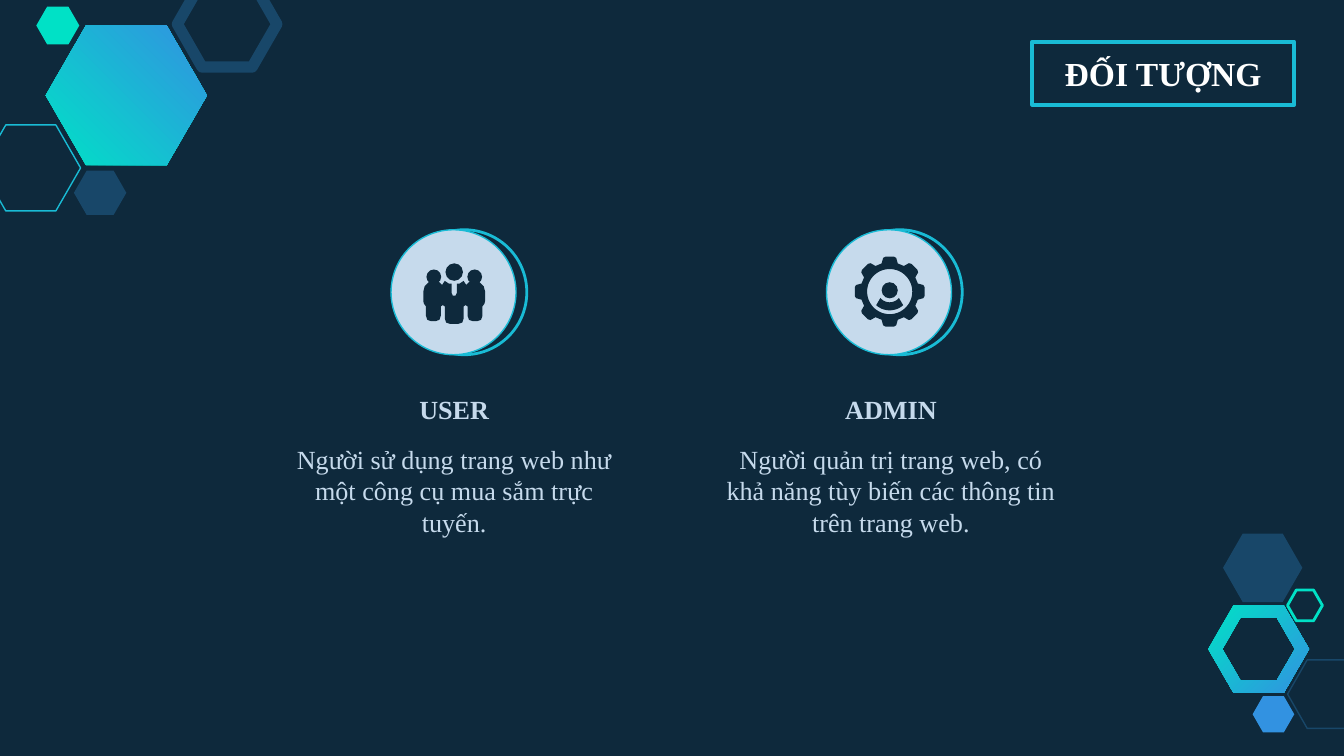
"""Build the slide that introduces the two audiences of the site, user and admin."""
from math import cos, radians, sin

from lxml.etree import SubElement
from pptx import Presentation
from pptx.dml.color import RGBColor
from pptx.enum.shapes import MSO_SHAPE
from pptx.enum.text import MSO_ANCHOR, MSO_AUTO_SIZE, PP_ALIGN
from pptx.oxml.ns import qn
from pptx.util import Inches, Pt

NAVY, STEEL, PALE = "0E293C", "184769", "C6DAEC"
CYAN, TEAL, BLUE = "19BBD5", "00E1C6", "3292E1"
CELL = Inches(0.1)
COLUMNS, ROWS = 100, 56.25


def paint(shape, fill=None, line=None, width=0.75, angle=None):
    """Set fill (two colours make a gradient) and outline from hex strings."""
    if angle is not None:
        shape.fill.gradient()
        shape.fill.gradient_angle = angle
        for stop, colour in zip(shape.fill.gradient_stops, fill):
            stop.color.rgb = RGBColor.from_string(colour)
    elif fill:
        shape.fill.solid()
        shape.fill.fore_color.rgb = RGBColor.from_string(fill)
    else:
        shape.fill.background()
    if line:
        shape.line.color.rgb = RGBColor.from_string(line)
        shape.line.width = Pt(width)
    else:
        shape.line.fill.background()
    shape.shadow.inherit = False


def write(box, text, size=14, colour=PALE, bold=False, anchor=MSO_ANCHOR.MIDDLE, inset=1):
    """Fill a box with one centred, formatted paragraph."""
    frame = box.text_frame
    frame.word_wrap = True
    frame.auto_size = MSO_AUTO_SIZE.NONE
    frame.vertical_anchor = anchor
    frame.margin_left = frame.margin_right = CELL
    frame.margin_top = frame.margin_bottom = int(inset * CELL)
    para = frame.paragraphs[0]
    para.alignment = PP_ALIGN.CENTER
    span = para.add_run()
    span.text = text
    span.font.name, span.font.size, span.font.bold = "Times New Roman", Pt(size), bold
    span.font.color.rgb = RGBColor.from_string(colour)


deck = Presentation()
deck.slide_width, deck.slide_height = COLUMNS * CELL, int(ROWS * CELL)
page = deck.slides.add_slide(deck.slide_layouts[5])
page.background.fill.solid()
page.background.fill.fore_color.rgb = RGBColor.from_string(NAVY)

title = page.shapes.title
title.left, title.top, title.width, title.height = [int(v * CELL) for v in (76.8, 3.1, 19.5, 4.7)]
geometry = SubElement(title.element.spPr, qn("a:prstGeom"), prst="flowChartTerminator")
SubElement(geometry, qn("a:avLst"))
paint(title, NAVY, CYAN, 2)
write(title, "ĐỐI TƯỢNG", size=18, colour="FFFFFF", bold=True, inset=0.5)

hexagons = [
    ((-1.4, 9.3, 7.4, 6.4), None, CYAN, 0.75),
    ((5.5, 12.7, 3.9, 3.3), STEEL, None, 0),
    ((13.2, -1.4, 7.4, 6.4), None, STEEL, 6),
    ((2.7, 0.5, 3.2, 2.8), TEAL, None, 0),
    ((95.8, 49.1, 5.9, 5.1), None, STEEL, 0.75),
    ((93.2, 51.8, 3.1, 2.7), BLUE, None, 0),
    ((91, 39.7, 5.9, 5.1), STEEL, None, 0),
    ((95.8, 43.9, 2.6, 2.3), None, TEAL, 1.5),
]
for area, fill, line, width in hexagons:
    hexagon = page.shapes.add_shape(MSO_SHAPE.HEXAGON, *[int(v * CELL) for v in area])
    hexagon.adjustments[0] = 0.287
    paint(hexagon, fill, line, width)

audiences = [
    ("USER", "Người sử dụng trang web như một công cụ mua sắm trực tuyến."),
    ("ADMIN", "Người quản trị trang web, có khả năng tùy biến các thông tin trên trang web."),
]
centres = [33.8, 66.2]
heads = [[(0, 20.25, 0.65), (-1.52, 20.6, 0.55), (1.52, 20.6, 0.55)], [(0, 21.6, 0.6)]]
for index, (name, duty) in enumerate(audiences):
    left = 20.1 + 32.5 * index
    for offset, fill, width in [(-3.9, NAVY, 1.5), (-4.7, PALE, 0.75)]:
        area = (centres[index] + offset, 17.1, 9.3, 9.3)
        disc = page.shapes.add_shape(MSO_SHAPE.OVAL, *[int(v * CELL) for v in area])
        paint(disc, fill, CYAN, width)
    for offset, middle, radius in heads[index]:
        area = (centres[index] + offset - radius, middle - radius, 2 * radius, 2 * radius)
        head = page.shapes.add_shape(MSO_SHAPE.OVAL, *[int(v * CELL) for v in area])
        paint(head, NAVY)
    for text, top, height, bold, anchor in [
        (name, 28.3, 4.3, True, MSO_ANCHOR.MIDDLE),
        (duty, 32, 10.4, False, MSO_ANCHOR.TOP),
    ]:
        box = page.shapes.add_textbox(*[int(v * CELL) for v in (left, top, 27.4, height)])
        write(box, text, bold=bold, anchor=anchor)

half_body = [
    (0, 22), (0.1, 22), (0.2, 21.8), (0.2, 21.1), (0.4, 21.1), (0.7, 20.9), (0.9, 21.2),
    (1.1, 21), (1.9, 21), (2.2, 21.3), (2.3, 21.7), (2.3, 22.4), (2.25, 22.6), (2.1, 22.8),
    (2.1, 23.5), (2, 23.8), (1.7, 23.9), (1.4, 23.9), (1.1, 23.8), (1, 23.5), (1, 22.8),
    (0.85, 22.7), (0.7, 22.8), (0.7, 23.7), (0.6, 24), (0.3, 24.1), (0, 24.1),
]
body = [(centres[0] - x, y) for x, y in half_body]
body += [(centres[0] + x, y) for x, y in reversed(half_body)]

tooth = [(-16, 2.18), (-11, 2.55), (-7, 2.62), (7, 2.62), (11, 2.55), (16, 2.18)]
teeth = [(45 * step + turn, radius) for step in range(8) for turn, radius in tooth]
hole = [(turn, 1.68) for turn in range(0, 360, 6)]
smile = [(turn, 0.9) for turn in range(40, 141, 10)] + [(turn, 1.5) for turn in range(132, 47, -6)]
large, outer, inner = [[(60 * step, radius) for step in range(6)] for radius in (6, 3.75, 2.7)]

outlines = [[body]]
for middle_x, middle_y, polar in [
    (centres[1], 21.7, [teeth, hole]),
    (centres[1], 21.6, [smile]),
    (9.4, 7.1, [large]),
    (93.65, 48.3, [outer, inner]),
]:
    outlines.append([
        [(middle_x + r * cos(radians(a)), middle_y + r * sin(radians(a))) for a, r in contour]
        for contour in polar
    ])

angles = [None, None, None, 45, 315]
for contours, angle in zip(outlines, angles):
    contours = [[(int(x * CELL), int(y * CELL)) for x, y in contour] for contour in contours]
    builder = page.shapes.build_freeform(*contours[0][0])
    builder.add_line_segments(contours[0][1:], close=True)
    for contour in contours[1:]:
        builder.move_to(*contour[0])
        builder.add_line_segments(contour[1:], close=True)
    paint(builder.convert_to_shape(), NAVY if angle is None else (TEAL, BLUE), angle=angle)

deck.save("out.pptx")
